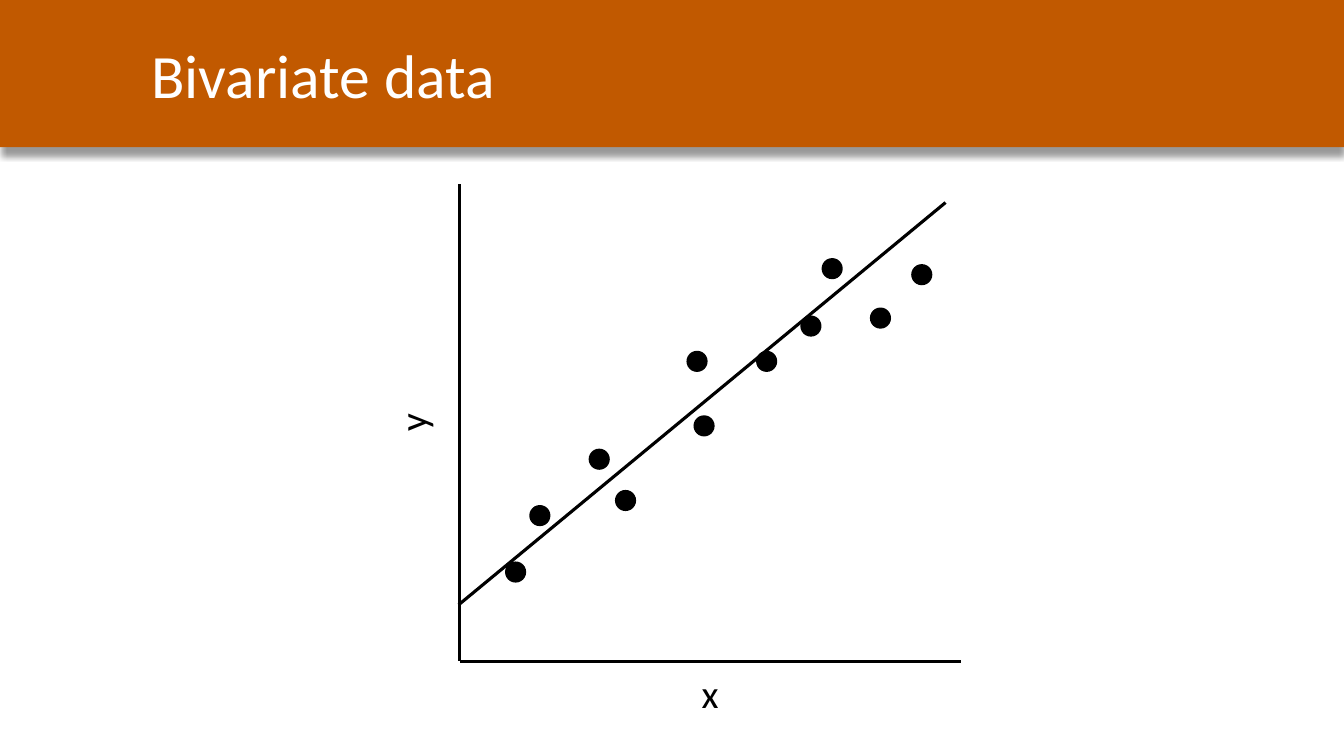
from lxml import etree
from pptx import Presentation
from pptx.dml.color import RGBColor
from pptx.enum.shapes import MSO_CONNECTOR, MSO_SHAPE
from pptx.enum.text import MSO_ANCHOR, MSO_AUTO_SIZE, PP_ALIGN
from pptx.oxml import parse_xml
from pptx.oxml.ns import nsdecls, qn
from pptx.util import Pt

RECT, OVAL = MSO_SHAPE.RECTANGLE, MSO_SHAPE.OVAL
LINE = MSO_CONNECTOR.STRAIGHT
MIDDLE, TOP = MSO_ANCHOR.MIDDLE, MSO_ANCHOR.TOP
LEFT, CENTER = PP_ALIGN.LEFT, PP_ALIGN.CENTER
GROW, FIXED = MSO_AUTO_SIZE.SHAPE_TO_FIT_TEXT, MSO_AUTO_SIZE.NONE

# Content, in points
TITLE = "Bivariate data"
LABELS = {"x": "x", "y": "y"}
DOTS = [  # centres
    (368.3, 408.6), (502.9, 304.2), (385.6, 368.3), (428, 328),
    (446.8, 357.5), (579.2, 232.9), (497.9, 258.1), (547.6, 258.1),
    (628.9, 227.2), (594.4, 191.9), (658.4, 196.2),
]
TREND = (327.6, 432, 675.4, 144.7)
AXES = {"left": 328.3, "top": 131.8, "right": 686.2, "bottom": 472.3}

THEME = {
    "font": "Calibri", "title": 44, "label": 28, "line": 2.25, "dot": 15.1,
    "band": RGBColor(0xC1, 0x59, 0x00),
    "light": RGBColor(255, 255, 255), "ink": RGBColor(0, 0, 0),
}
WIDE, HIGH, BAND = 960, 540, 105.1
SHADOW = (
    f'<a:effectLst {nsdecls("a")}><a:outerShdw blurRad="{Pt(4)}" '
    f'dist="{Pt(6)}" dir="5400000" algn="t" rotWithShape="0">'
    '<a:srgbClr val="000000"><a:alpha val="40000"/></a:srgbClr>'
    '</a:outerShdw></a:effectLst>'
)


def apply(item, values):
    for name, value in values.items():
        setattr(item, name, value)


def add_solid(shapes, kind, box, color):
    shape = shapes.add_shape(kind, *map(Pt, box))
    shape.shadow.inherit = False
    shape.fill.solid()
    shape.fill.fore_color.rgb = color
    shape.line.fill.background()
    return shape


def add_line(shapes, ends):
    line = shapes.add_connector(LINE, *map(Pt, ends))
    line.line.color.rgb = THEME["ink"]
    line.line.width = Pt(THEME["line"])
    etree.SubElement(line._element.spPr, qn("a:effectLst"))


def add_text(shapes, box, text, size, color, align=CENTER, anchor=TOP, fit=GROW):
    label = shapes.add_textbox(*map(Pt, box))
    apply(label.text_frame, {
        "word_wrap": True, "auto_size": fit, "vertical_anchor": anchor})
    para = label.text_frame.paragraphs[0]
    apply(para, {"text": text, "alignment": align})
    apply(para.font, {"name": THEME["font"], "size": Pt(THEME[size])})
    para.font.color.rgb = THEME[color]
    return label


deck = Presentation()
apply(deck, {"slide_width": Pt(WIDE), "slide_height": Pt(HIGH)})
slide = deck.slides.add_slide(deck.slide_layouts[6])

# Title band with its shadow
band = add_solid(slide.shapes, RECT, (0, 0, WIDE, BAND), THEME["band"])
props = band._element.spPr
props.replace(props.find(qn("a:effectLst")), parse_xml(SHADOW))
add_text(slide.shapes, (100.8, 8.6, WIDE - 100.8, 87.8), TITLE,
         "title", "light", LEFT, MIDDLE, FIXED)

# Trend line
add_line(slide.shapes, TREND)

# Axes and their labels
left, top, right, bottom = AXES.values()
frame = slide.shapes.add_group_shape().shapes
add_line(frame, (left, top, left, bottom))
add_line(frame, (left, bottom, right, bottom))
deep, gap = 41.2, 2.2
add_text(frame, (left, bottom + gap, right - left, deep),
         LABELS["x"], "label", "ink")
span, mid = bottom - top, (top + bottom) / 2
side = left - 34.2
y_label = add_text(frame, (side - span / 2, mid - deep / 2, span, deep),
                   LABELS["y"], "label", "ink")
y_label.rotation = 270

# Scatter points
cloud = slide.shapes.add_group_shape().shapes
size = THEME["dot"]
for x, y in DOTS:
    add_solid(cloud, OVAL, (x - size / 2, y - size / 2, size, size), THEME["ink"])

deck.save("out.pptx")
